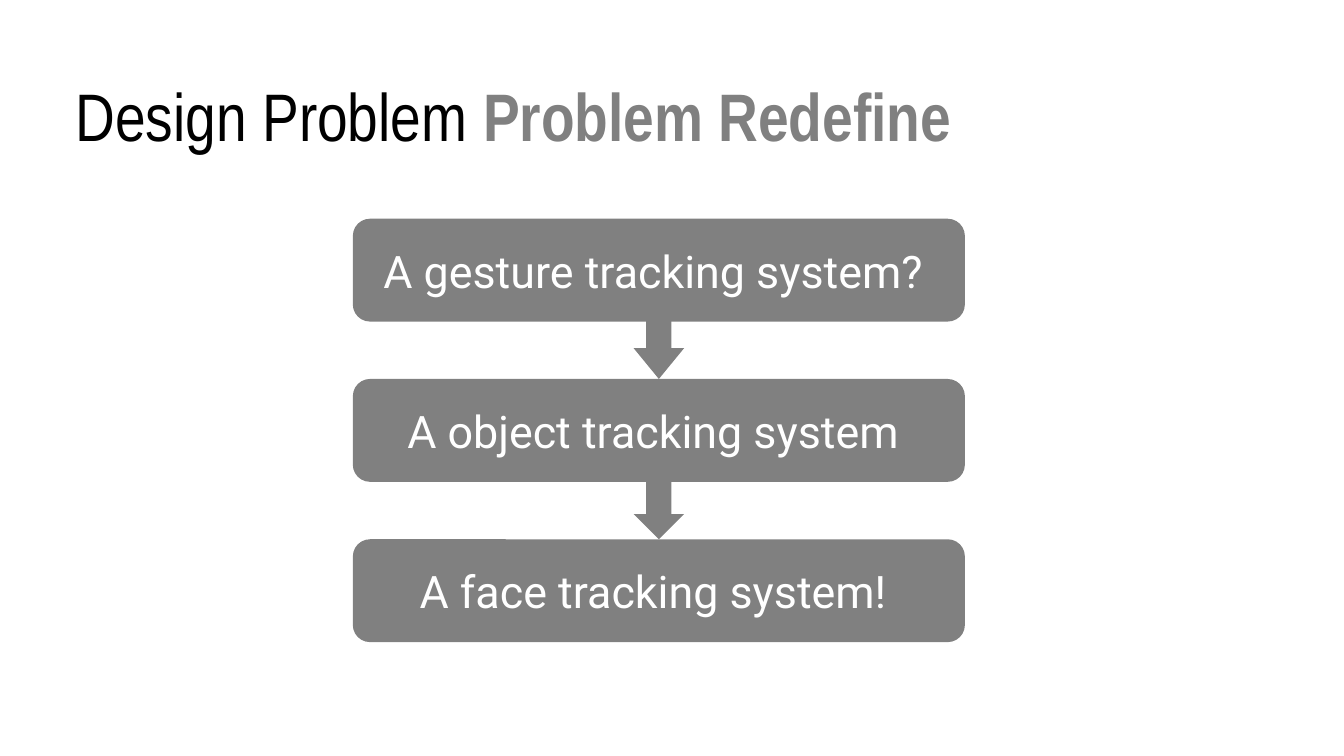
from pptx import Presentation
from pptx.dml.color import RGBColor
from pptx.enum.shapes import MSO_SHAPE
from pptx.enum.text import MSO_ANCHOR, MSO_AUTO_SIZE, PP_ALIGN
from pptx.util import Inches, Pt

BLACK = RGBColor(0, 0, 0)
GRAY = RGBColor(0x80, 0x80, 0x80)
WHITE = RGBColor(0xFF, 0xFF, 0xFF)

QUESTIONS = [
    "A gesture tracking system? ",
    "A object tracking system ",
    "A face tracking system! ",
]
ARROW_HEADS = [0.61, 0.5]


def add_heading(slide, left, top, width, height):
    """Place the two-tone heading in the title placeholder."""
    heading = slide.shapes.title
    heading.left, heading.top = Inches(left), Inches(top)
    heading.width, heading.height = Inches(width), Inches(height)
    frame = heading.text_frame
    frame.word_wrap = False
    frame.auto_size = MSO_AUTO_SIZE.SHAPE_TO_FIT_TEXT
    frame.vertical_anchor = MSO_ANCHOR.TOP
    line = frame.paragraphs[0]
    line.alignment = PP_ALIGN.LEFT
    for words, color, bold in [
        ("Design Problem ", BLACK, False),
        ("Problem Redefine", GRAY, True),
    ]:
        part = line.add_run()
        part.text = words
        part.font.name = "Arial Narrow"
        part.font.size = Pt(48)
        part.font.bold = bold
        part.font.color.rgb = color


def add_gray_shape(slide, preset, left, top, width, height):
    """Add a flat gray preset shape without an outline."""
    shape = slide.shapes.add_shape(
        preset, Inches(left), Inches(top), Inches(width), Inches(height)
    )
    shape.shadow.inherit = False
    shape.fill.solid()
    shape.fill.fore_color.rgb = GRAY
    shape.line.fill.background()
    return shape


def add_question(slide, text, left, top, width, height):
    """Add one step of the flow with its centred text."""
    question = add_gray_shape(
        slide, MSO_SHAPE.ROUNDED_RECTANGLE, left, top, width, height
    )
    frame = question.text_frame
    frame.word_wrap = True
    frame.vertical_anchor = MSO_ANCHOR.MIDDLE
    line = frame.paragraphs[0]
    line.text = text
    line.alignment = PP_ALIGN.CENTER
    line.font.name = "Roboto"
    line.font.size = Pt(32)
    line.font.color.rgb = WHITE


def add_flow(slide, left, top, width, height):
    """Stack the questions in the box and join them with down arrows."""
    step_height, arrow_width, arrow_height = 1.02, 0.5, 0.63
    pitch = (height - step_height) / (len(QUESTIONS) - 1)
    for index, text in enumerate(QUESTIONS):
        add_question(slide, text, left, top + index * pitch, width, step_height)
    for index, head in enumerate(ARROW_HEADS, start=1):
        arrow = add_gray_shape(
            slide,
            MSO_SHAPE.DOWN_ARROW,
            left + (width - arrow_width) / 2,
            top + index * pitch - arrow_height,
            arrow_width,
            arrow_height,
        )
        arrow.adjustments[1] = head


def main():
    """Build the slide and save it."""
    presentation = Presentation()
    presentation.slide_width = Inches(13.33)
    presentation.slide_height = Inches(7.5)
    slide = presentation.slides.add_slide(presentation.slide_layouts[5])
    add_heading(slide, 0.65, 0.69, 9.59, 0.91)
    add_flow(slide, 3.5, 2.17, 6.07, 4.2)
    presentation.save("out.pptx")


if __name__ == "__main__":
    main()
